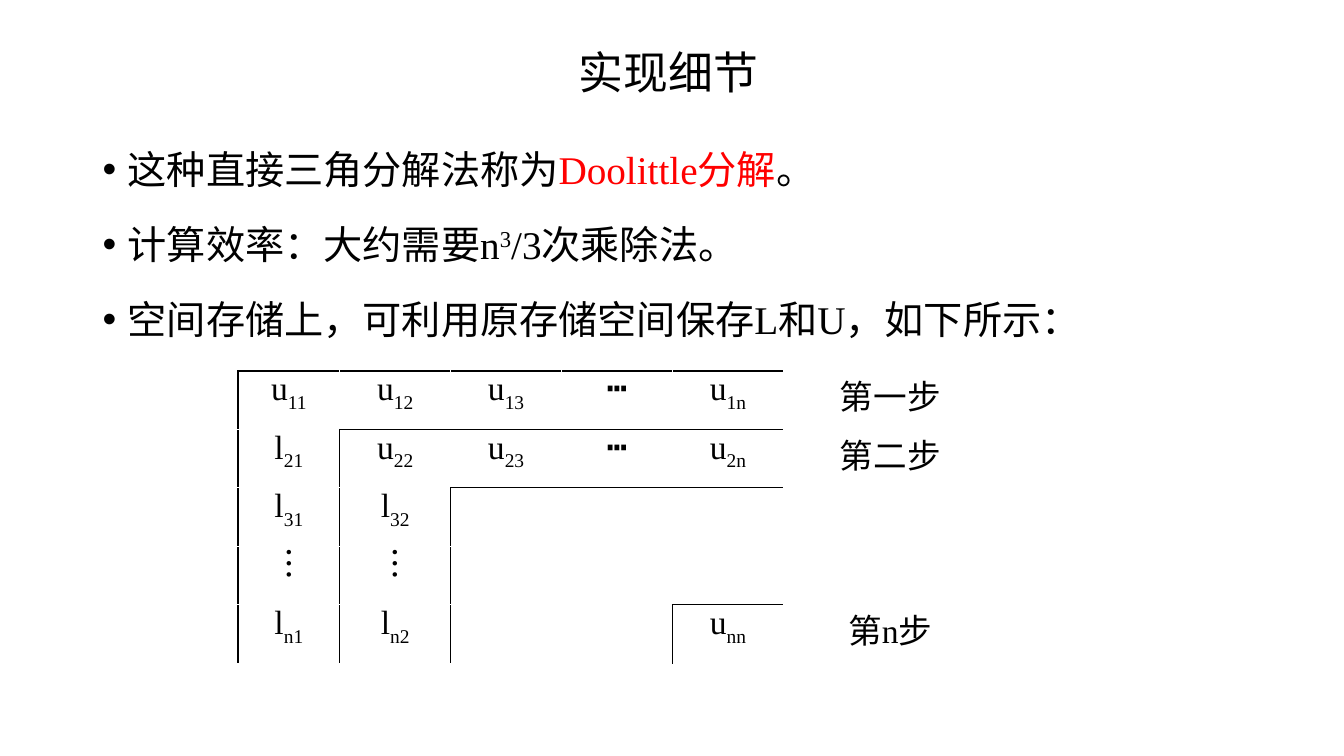
from lxml.etree import SubElement
from pptx import Presentation
from pptx.dml.color import RGBColor
from pptx.enum.text import MSO_ANCHOR, PP_ALIGN
from pptx.oxml.ns import qn
from pptx.util import Inches, Pt

BLACK = RGBColor(0x00, 0x00, 0x00)
WHITE = RGBColor(0xFF, 0xFF, 0xFF)
RED = RGBColor(0xFF, 0x00, 0x00)
CHINESE = "Noto Sans CJK SC"
ROMAN = "Times New Roman"

BULLETS = [
    [("这种直接三角分解法", CHINESE), ("称为", ROMAN), ("Doolittle", ROMAN, RED),
     ("分解", CHINESE, RED), ("。", CHINESE)],
    [("计算效率：大约需要", CHINESE), ("n", ROMAN), ("3", ROMAN, BLACK, 30),
     ("/3", ROMAN), ("次乘除法。", CHINESE)],
    [("空间存储上，可利用原存储空间保存", CHINESE), ("L和U，如下所示", ROMAN),
     ("：", CHINESE)],
]
STORAGE = [
    ["u_11", "u_12", "u_13", "┅", "u_1n", "", "第一步"],
    ["l_21", "u_22", "u_23", "┅", "u_2n", "", "第二步"],
    ["l_31", "l_32", "", "", "", "", ""],
    ["︙", "︙", "", "", "", "", ""],
    ["l_n1", "l_n2", "", "", "u_nn", "", "第n步"],
]
COLUMN_WIDTHS = [1.01, 1.1, 1.1, 1.1, 1.1, 0.37, 1.38]
ROW_HEIGHT = 0.58
STEPS = (0, 1, 2, 4)
LAST_MATRIX_COLUMN = 4


def has_top_line(row, column):
    """Tell whether a step of the factorisation starts above this cell."""
    return row in STEPS and row <= column <= LAST_MATRIX_COLUMN


def has_left_line(row, column):
    """Tell whether a step of the factorisation starts left of this cell."""
    return column in STEPS and column <= row < len(STORAGE)


class SlideBuilder:
    """Hold the text style and the current slide."""

    def __init__(self, slide):
        self.slide = slide

    def add_run(self, paragraph, size, text, font_name, color=BLACK, baseline=0):
        """Add one styled run to a paragraph."""
        run = paragraph.add_run()
        run.text = text
        run.font.size = Pt(size)
        run.font.color.rgb = color
        run.font.name = font_name
        properties = run.font._element
        SubElement(properties, qn("a:ea"), typeface=CHINESE)
        if baseline:
            properties.set("baseline", str(baseline * 1000))

    def add_text_frame(self, left, top, width, height):
        """Add a wrapping text box and return its frame."""
        shape = self.slide.shapes.add_textbox(
            Inches(left), Inches(top), Inches(width), Inches(height))
        shape.text_frame.word_wrap = True
        return shape.text_frame

    def add_title(self, text):
        """Add the centred slide title."""
        frame = self.add_text_frame(0.88, 0.39, 11.5, 0.7)
        frame.vertical_anchor = MSO_ANCHOR.MIDDLE
        paragraph = frame.paragraphs[0]
        paragraph.alignment = PP_ALIGN.CENTER
        paragraph.line_spacing = 0.9
        self.add_run(paragraph, 32, text, CHINESE)

    def add_bullets(self, items):
        """Add the bulleted body text."""
        frame = self.add_text_frame(0.92, 1.25, 11.5, 5.5)
        for index, runs in enumerate(items):
            paragraph = frame.add_paragraph() if index else frame.paragraphs[0]
            properties = paragraph._p.get_or_add_pPr()
            properties.set("marL", str(Inches(0.25)))
            properties.set("indent", str(-Inches(0.25)))
            SubElement(properties, qn("a:buFont"), typeface="Arial")
            SubElement(properties, qn("a:buChar"), char="•")
            paragraph.line_spacing = 1.3
            paragraph.space_before = Pt(10 if index else 0)
            for run in runs:
                self.add_run(paragraph, 28, *run)

    def add_borders(self, cell, row, column):
        """Draw black step lines and white lines elsewhere."""
        sides = {
            "L": has_left_line(row, column),
            "R": has_left_line(row, column + 1),
            "T": has_top_line(row, column),
            "B": has_top_line(row + 1, column),
        }
        properties = cell._tc.get_or_add_tcPr()
        for side, is_step in sides.items():
            line = SubElement(properties, qn(f"a:ln{side}"), w=str(Pt(1)))
            fill = SubElement(line, qn("a:solidFill"))
            SubElement(fill, qn("a:srgbClr"), val=str(BLACK if is_step else WHITE))

    def add_cell(self, cell, text):
        """Fill a cell with a symbol and its subscript."""
        cell.margin_left = cell.margin_right = Inches(0.07)
        cell.margin_top = cell.margin_bottom = 0
        cell.fill.background()
        if text:
            paragraph = cell.text_frame.paragraphs[0]
            paragraph.alignment = PP_ALIGN.CENTER
            symbol, _, subscript = text.partition("_")
            self.add_run(paragraph, 24, symbol, ROMAN)
            if subscript:
                self.add_run(paragraph, 24, subscript, ROMAN, BLACK, -25)

    def add_storage_table(self, rows):
        """Add the table showing where L and U are stored."""
        table = self.slide.shapes.add_table(
            len(rows), len(COLUMN_WIDTHS), Inches(2.36), Inches(3.68),
            Inches(sum(COLUMN_WIDTHS)), Inches(ROW_HEIGHT * len(rows))).table
        table.first_row = table.horz_banding = False
        for column, width in zip(table.columns, COLUMN_WIDTHS):
            column.width = Inches(width)
        for row, texts in enumerate(rows):
            table.rows[row].height = Inches(ROW_HEIGHT)
            for column, text in enumerate(texts):
                cell = table.cell(row, column)
                self.add_borders(cell, row, column)
                self.add_cell(cell, text)


def main():
    """Build and save the slide."""
    presentation = Presentation()
    presentation.slide_width = Inches(13.33)
    presentation.slide_height = Inches(7.5)
    slide = presentation.slides.add_slide(presentation.slide_layouts[6])
    builder = SlideBuilder(slide)
    builder.add_title("实现细节")
    builder.add_bullets(BULLETS)
    builder.add_storage_table(STORAGE)
    presentation.save("out.pptx")


if __name__ == "__main__":
    main()
